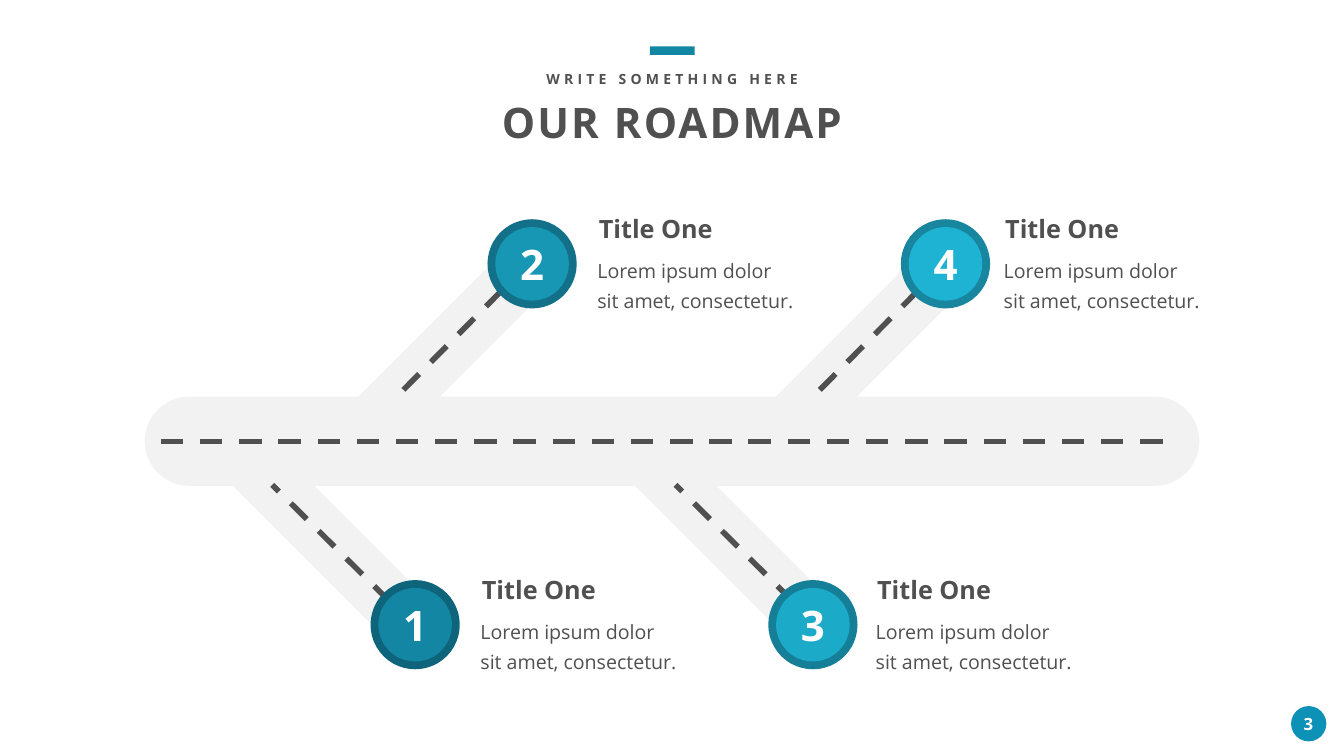
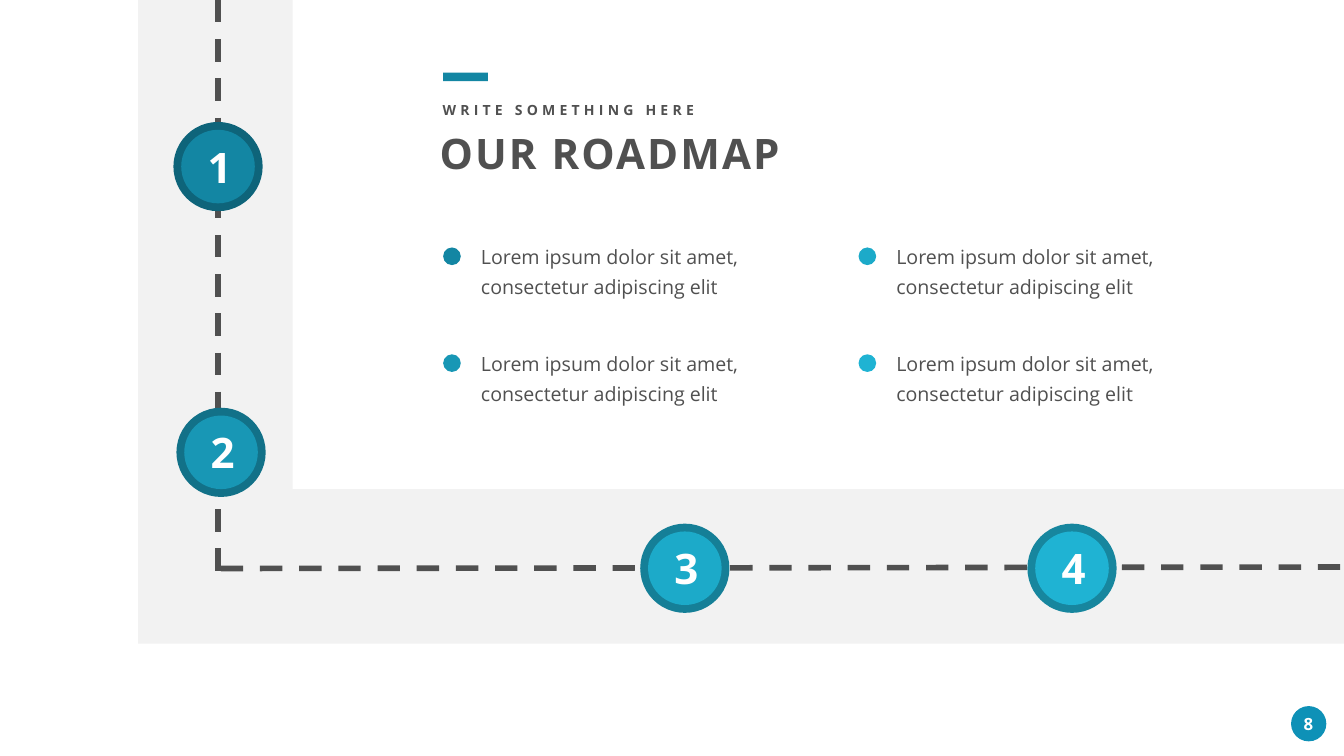
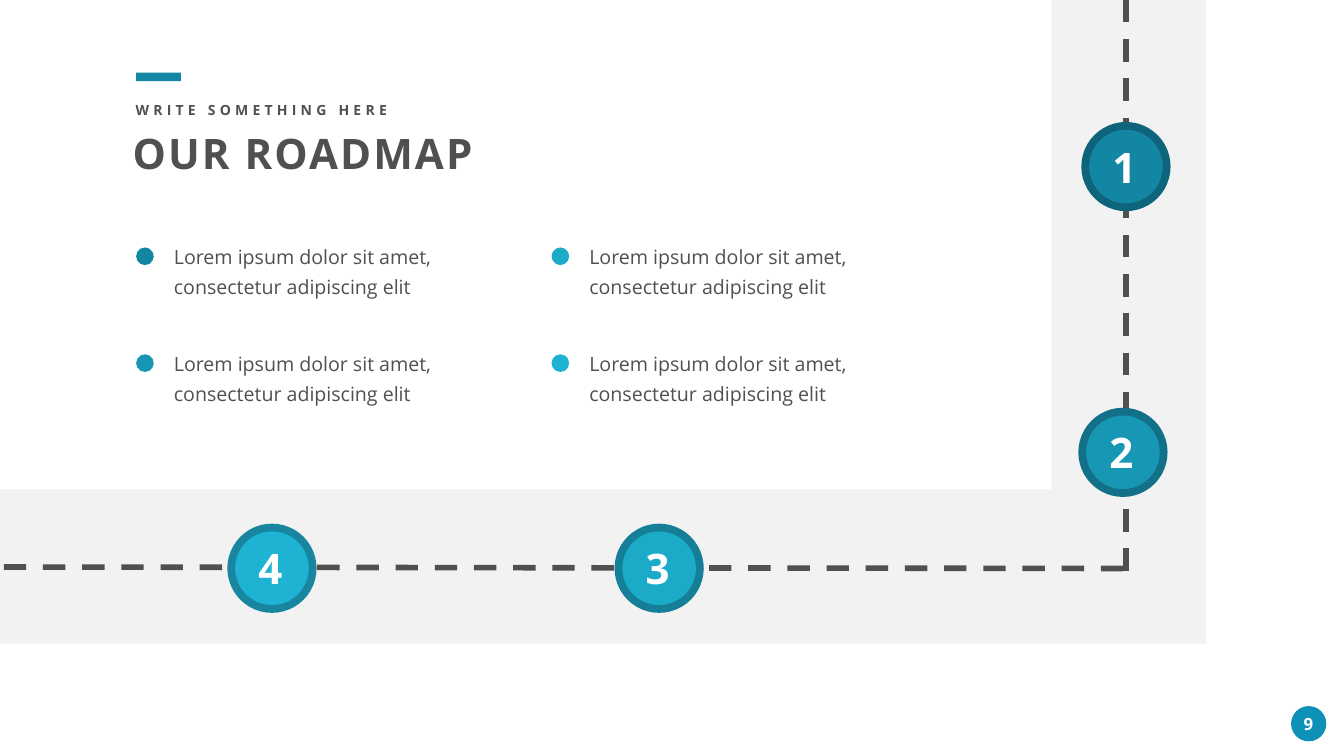
import pptx
import pptx.dml.color
import pptx.enum.dml
import pptx.enum.shapes
import pptx.enum.text
import pptx.oxml
import pptx.oxml.ns
import pptx.util
from lxml import etree

RGBColor = pptx.dml.color.RGBColor
Shape = pptx.enum.shapes.MSO_SHAPE
Align = pptx.enum.text.PP_ALIGN

WHITE = RGBColor(0xFF, 0xFF, 0xFF)
INK = RGBColor(0x50, 0x50, 0x50)
ROAD = RGBColor(0xF2, 0xF2, 0xF2)
BADGE = RGBColor(0x0E, 0x91, 0xB7)
RINGS = (RGBColor(0x0E, 0x64, 0x7A), RGBColor(0x12, 0x71, 0x88),
         RGBColor(0x15, 0x7F, 0x97), RGBColor(0x17, 0x86, 0x9E))
DISCS = (RGBColor(0x13, 0x86, 0xA3), RGBColor(0x18, 0x97, 0xB5),
         RGBColor(0x1C, 0xAA, 0xC9), RGBColor(0x1F, 0xB3, 0xD3))
FONT = "Open Sans"

# The grid has square cells; every length below counts columns or rows.
CELL = pptx.util.Inches(1)
COLUMNS, ROWS = 26.66, 15
STOP, DISC = 1.77, 1.46


def cells(*lengths):
    return [round(length * CELL) for length in lengths]


def mirrored(left, width=0):
    return COLUMNS - left - width


class Deck:
    def __init__(self):
        self.presentation = pptx.Presentation()
        self.presentation.slide_width, self.presentation.slide_height = cells(COLUMNS, ROWS)
        self.slide = None

    def add_slide(self, number):
        self.slide = self.presentation.slides.add_slide(self.presentation.slide_layouts[6])
        self.shape(Shape.OVAL, 25.61, 14.01, 0.7, 0.7, BADGE)
        self.text(str(number), 25.56, 14.11, 0.79, 0.5, size=24, color=WHITE,
                  bold=True, spacing=3, align=Align.CENTER)

    def shape(self, kind, left, top, width, height, fill,
              adjustments=(), rotation=0, flipped=False):
        shape = self.slide.shapes.add_shape(kind, *cells(left, top, width, height))
        shape.shadow.inherit = False
        shape.fill.solid()
        shape.fill.fore_color.rgb = fill
        shape.line.fill.background()
        shape.rotation = rotation
        for index, value in enumerate(adjustments):
            shape.adjustments[index] = value
        if flipped:
            shape._element.spPr.get_or_add_xfrm().set("flipH", "1")

    def text(self, text, left, top, width, height, size=28, color=INK, bold=False,
             spacing=0, align=Align.LEFT, wrap=True):
        box = self.slide.shapes.add_textbox(*cells(left, top, width, height))
        frame = box.text_frame
        frame.word_wrap = wrap
        frame.auto_size = pptx.enum.text.MSO_AUTO_SIZE.SHAPE_TO_FIT_TEXT
        paragraph = frame.paragraphs[0]
        paragraph.alignment = align
        run = paragraph.add_run()
        run.text = text
        run.font.name = FONT
        run.font.size = pptx.util.Pt(size)
        run.font.bold = bold
        run.font.color.rgb = color
        if spacing:
            run._r.get_or_add_rPr().set("spc", str(spacing * 100))
        return frame

    def body(self, text, left, top, width, height):
        frame = self.text(text, left, top, width, height)
        frame.margin_left = frame.margin_right = cells(0.24)[0]
        frame.margin_top = frame.margin_bottom = cells(0.12)[0]
        paragraph = frame.paragraphs[0]
        paragraph.line_spacing = pptx.util.Pt(43)
        qualified = pptx.oxml.ns.qn
        before = etree.SubElement(paragraph._p.get_or_add_pPr(), qualified("a:spcBef"))
        etree.SubElement(before, qualified("a:spcPct")).set("val", "20000")

    def lane_marks(self, *ends):
        """Draw a dashed line; ends are left, top, right, bottom."""
        line = self.slide.shapes.add_connector(
            pptx.enum.shapes.MSO_CONNECTOR.STRAIGHT, *cells(*ends))
        line.line.color.rgb = INK
        line.line.width = pptx.util.Pt(8)
        line.line.dash_style = pptx.enum.dml.MSO_LINE.DASH
        etree.SubElement(line._element.spPr, pptx.oxml.ns.qn("a:effectLst"))

    def stop(self, index, left, top, label_shift=0):
        """Draw a numbered, ringed disc."""
        inset = (STOP - DISC) / 2
        self.shape(Shape.OVAL, left, top, STOP, STOP, RINGS[index])
        self.shape(Shape.OVAL, left + inset, top + inset, DISC, DISC, DISCS[index])
        self.text(str(index + 1), left + (STOP - 1.02) / 2 + label_shift, top + 0.33,
                  1.02, 1.11, size=60, color=WHITE, bold=True, spacing=3,
                  align=Align.CENTER)

    def header(self, bar, kicker, title, title_width, top, kicker_drop, align):
        """Draw accent bar, kicker and title; the first three numbers are left edges."""
        kicker_top = top + kicker_drop
        self.shape(Shape.RECTANGLE, bar, top, 0.89, 0.17, DISCS[0])
        self.text("WRITE SOMETHING HERE", kicker, kicker_top, 5.32, 0.44, size=20,
                  bold=True, spacing=6, align=align, wrap=False)
        self.text("OUR ROADMAP", title, kicker_top + 0.52, title_width, 1.11, size=60,
                  bold=True, spacing=3, align=align)


def branching_road(deck):
    deck.add_slide(3)
    middle = COLUMNS / 2
    deck.header(middle - 0.44, middle - 2.66, middle - 5.84, 11.68, 0.92, 0.42, Align.CENTER)
    # Left edges of stop, branch, branch marks (outer and inner end) and caption.
    branches = ((7.35, 3.14, 8.29, 5.4, 9.29), (9.67, 5.43, 10.5, 7.79, 11.61),
                (15.24, 11.12, 16.29, 13.4, 17.13), (17.87, 13.71, 18.76, 16.05, 19.67))
    # Tops of stop, branch, branch marks (outer and inner end), and the angle.
    sides = ((11.51, 9.93, 12.49, 9.62, 45), (4.35, 6.64, 5.21, 7.95, 315))

    deck.shape(Shape.ROUNDED_RECTANGLE, 2.87, 7.87, 20.92, STOP, ROAD, [0.5])
    for index, (_, left, *_) in enumerate(branches):
        _, top, _, _, angle = sides[index % 2]
        deck.shape(Shape.ROUNDED_RECTANGLE, left, top, 6.29, 1.14, ROAD, [0.5], angle)
    deck.lane_marks(3.19, 8.76, 23.37, 8.76)
    for index, (left, _, outer, inner, caption) in enumerate(branches):
        top, _, outer_top, inner_top, _ = sides[index % 2]
        deck.lane_marks(outer, outer_top, inner, inner_top)
        deck.stop(index, left, top)
        deck.text("Title One", caption + 0.17, top - 0.17, 2.48, 0.71,
                  size=36, bold=True, wrap=False)
        deck.body("Lorem ipsum dolor sit amet, consectetur.", caption, top + 0.54, 4.39, 1.45)


def corner_road(deck, number, text_left, flipped):
    """Draw the road that turns a corner, with a header and four points beside it."""
    def side(left, width=0):
        return mirrored(left, width) if flipped else left

    deck.add_slide(number)
    deck.shape(Shape.CORNER, side(2.74, 23.92), 0, 23.92, 12.77, ROAD,
               [0.24, 0.24], flipped=flipped)
    deck.lane_marks(side(4.38), 11.28, side(COLUMNS), 11.25)
    deck.lane_marks(side(4.32), 0, side(4.32), 11.39)
    stops = ((3.44, 2.42), (3.5, 8.09), (12.7, 10.39), (20.38, 10.39))
    for index, (left, top) in enumerate(stops):
        deck.stop(index, side(left, STOP), top, -0.03 if flipped else 0.03)

    deck.header(text_left, text_left - 0.11, text_left - 0.17, 7.41, 1.44, 0.53, Align.LEFT)
    for index, color in enumerate(DISCS):
        column, row = divmod(index, 2)
        left, top = text_left + 8.24 * column, 4.61 + 2.12 * row
        deck.shape(Shape.OVAL, left, top + 0.3, 0.35, 0.35, color)
        deck.body("Lorem ipsum dolor sit amet, consectetur adipiscing elit",
                  left + 0.51, top, 6.59, 1.4)


def main():
    deck = Deck()
    branching_road(deck)
    corner_road(deck, 8, 8.79, flipped=False)
    corner_road(deck, 9, 2.7, flipped=True)
    deck.presentation.save("out.pptx")


if __name__ == "__main__":
    main()
